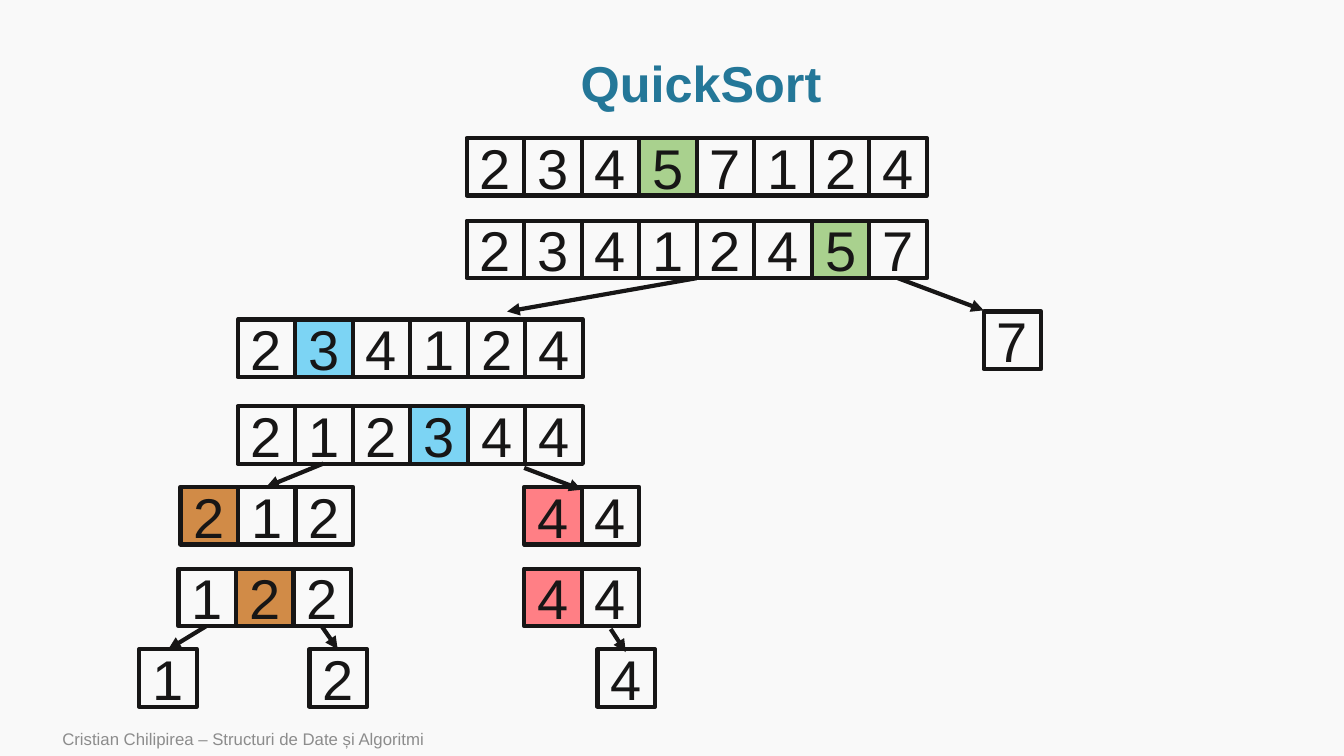
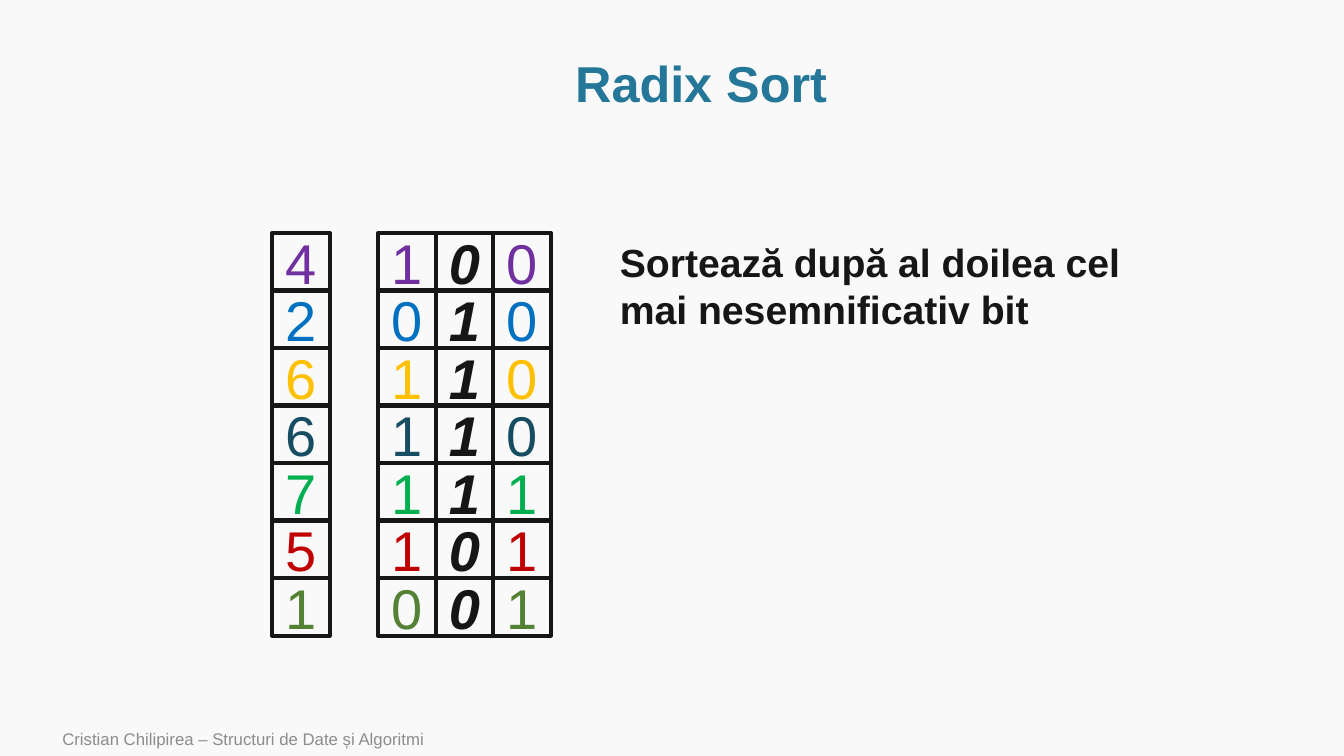
from dataclasses import dataclass

from lxml.etree import SubElement
from pptx import Presentation
from pptx.dml.color import RGBColor
from pptx.enum.shapes import MSO_CONNECTOR, MSO_SHAPE
from pptx.enum.text import MSO_ANCHOR, PP_ALIGN
from pptx.oxml.ns import qn
from pptx.util import Cm, Pt


@dataclass(frozen=True)
class Theme:
    font: str = "Arial"
    background: str = "F9F9F9"
    ink: str = "171616"
    title: str = "247798"
    footer: str = "8C8C8C"
    green: str = "A9D18E"
    blue: str = "7CD4F4"
    brown: str = "D18B47"
    red: str = "FF7F85"
    title_size: int = 36
    digit_size: int = 40
    note_size: int = 28
    footer_size: int = 12
    line_width: int = 3


T = Theme()
CELL = 1.45  # side of an array cell, cm
FOOTER = "Cristian Chilipirea – Structuri de Date și Algoritmi"


def write(shape, text, size, color, align=PP_ALIGN.LEFT, bold=False,
          italic=False, anchor=MSO_ANCHOR.MIDDLE):
    tf = shape.text_frame
    tf.word_wrap = True
    tf.vertical_anchor = anchor
    p = tf.paragraphs[0]
    p.text = text
    p.alignment = align
    p.font.name = T.font
    p.font.size = Pt(size)
    p.font.bold = bold
    p.font.italic = italic
    p.font.color.rgb = RGBColor.from_string(color)
    return p


def add_cell(s, x, y, digit, color=T.ink, fill=None, strong=False):
    sp = s.shapes.add_shape(MSO_SHAPE.RECTANGLE, Cm(x), Cm(y), Cm(CELL), Cm(CELL))
    sp.shadow.inherit = False
    if fill:
        sp.fill.solid()
        sp.fill.fore_color.rgb = RGBColor.from_string(fill)
    else:
        sp.fill.background()
    sp.line.color.rgb = RGBColor.from_string(T.ink)
    sp.line.width = Pt(T.line_width)
    write(sp, digit, T.digit_size, color, PP_ALIGN.CENTER, strong, strong)


prs = Presentation()
prs.slide_width, prs.slide_height = Cm(33.87), Cm(19.05)
fill = prs.slide_master.background.fill
fill.solid()
fill.fore_color.rgb = RGBColor.from_string(T.background)

slides = []
for title in ("QuickSort", "Radix Sort"):
    s = prs.slides.add_slide(prs.slide_layouts[6])
    box = s.shapes.add_textbox(Cm(2.9), Cm(1.3), Cm(29.54), Cm(1.75))
    p = write(box, title, T.title_size, T.title, PP_ALIGN.CENTER, bold=True)
    p.line_spacing = 0.9
    box = s.shapes.add_textbox(Cm(1.32), Cm(18.19), Cm(21.34), Cm(0.86))
    write(box, FOOTER, T.footer_size, T.footer)
    slides.append(s)
quick, radix = slides

# QuickSort: left, top, digits, pivot index, pivot colour
arrays = [
    (11.76, 3.48, "23457124", 3, T.green),
    (11.76, 5.56, "23412457", 6, T.green),
    (5.99, 8.05, "234124", 1, T.blue),
    (24.79, 7.85, "7", None, None),
    (5.99, 10.24, "212344", 3, T.blue),
    (13.21, 12.27, "44", 0, T.red),
    (4.55, 12.27, "212", 0, T.brown),
    (4.5, 14.33, "122", 1, T.brown),
    (13.21, 14.33, "44", 0, T.red),
    (3.51, 16.36, "1", None, None),
    (7.8, 16.36, "2", None, None),
    (15.06, 16.36, "4", None, None),
]
for x, y, digits, pivot, pivot_color in arrays:
    for i, digit in enumerate(digits):
        add_cell(quick, x + i * CELL, y, digit,
                 fill=pivot_color if i == pivot else None)

arrows = [
    (17.55, 7.01, 12.78, 7.85),
    (22.63, 7.01, 24.79, 7.82),
    (8.15, 11.68, 6.71, 12.27),
    (13.21, 11.79, 14.66, 12.34),
    (5.21, 15.77, 4.24, 16.36),
    (8.1, 15.77, 8.51, 16.36),
    (15.39, 15.85, 15.77, 16.43),
]
for ends in arrows:
    arrow = quick.shapes.add_connector(MSO_CONNECTOR.STRAIGHT, *map(Cm, ends))
    arrow.line.color.rgb = RGBColor.from_string(T.ink)
    arrow.line.width = Pt(T.line_width)
    SubElement(arrow.line._get_or_add_ln(), qn("a:tailEnd"), type="triangle")
    SubElement(arrow._element.spPr, qn("a:effectLst"))

# Radix Sort: each number beside its three bits, the sorting bit emphasised
numbers = [
    (4, "7030A0"),
    (2, "0070C0"),
    (6, "FFC000"),
    (6, "174D63"),
    (7, "00B050"),
    (5, "C00000"),
    (1, "548235"),
]
top = 5.87
for row, (number, color) in enumerate(numbers):
    y = top + row * CELL
    add_cell(radix, 6.86, y, str(number), color)
    for i, bit in enumerate(f"{number:03b}"):
        sorting = i == 1
        add_cell(radix, 9.53 + i * CELL, y, bit,
                 T.ink if sorting else color, strong=sorting)

box = radix.shapes.add_textbox(Cm(15.37), Cm(top), Cm(13.77), Cm(2.64))
write(box, "Sortează după al doilea cel mai nesemnificativ bit",
      T.note_size, T.ink, bold=True, anchor=MSO_ANCHOR.TOP)

prs.save("out.pptx")
